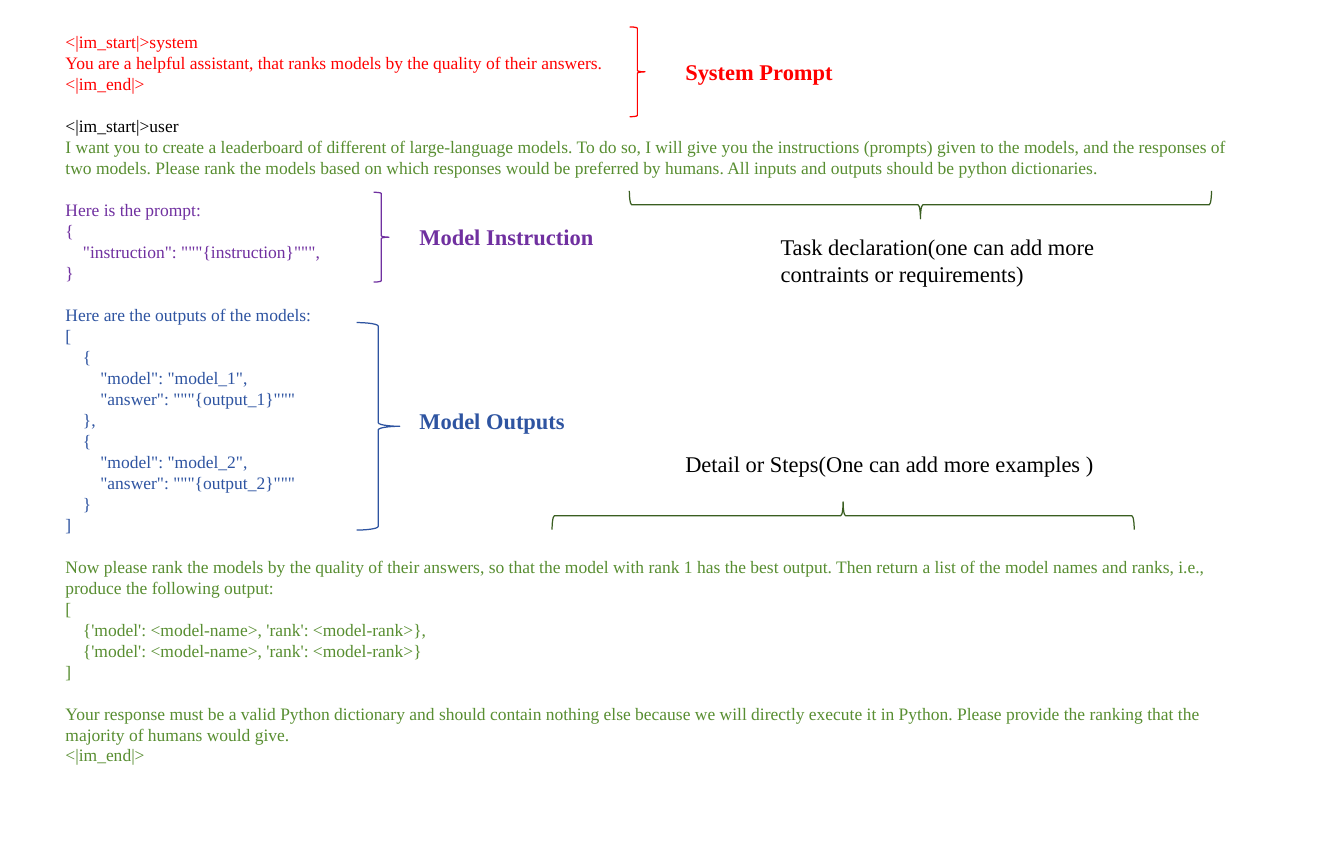
from pptx import Presentation
from pptx import util as u
from pptx.dml.color import RGBColor
from pptx.enum import shapes

RED, BLACK, GREEN = "FF0000", "000000", "588E31"
PURPLE, BLUE, DARK_GREEN = "7030A0", "2E54A1", "3A5E21"


def rgb(value):
    return RGBColor.from_string(value)


def add_text(s, box, paragraphs, size, bold=False):
    sp = s.shapes.add_textbox(*(u.Inches(v) for v in box))
    tf = sp.text_frame
    tf.word_wrap = True
    for i, (line, color, gap) in enumerate(paragraphs):
        p = tf.paragraphs[0] if i == 0 else tf.add_paragraph()
        p.line_spacing = u.Pt(size * 1.2)
        if gap:
            p.space_before = u.Pt(size * 1.2)
        r = p.add_run()
        r.text = line
        style = {"name": "Times New Roman", "size": u.Pt(size), "bold": bold}
        for key, value in style.items():
            setattr(r.font, key, value)
        r.font.color.rgb = rgb(color)


prs = Presentation()
prs.slide_width, prs.slide_height = u.Inches(14.96), u.Inches(9.45)
s = prs.slides.add_slide(prs.slide_layouts[6])

prompt_blocks = [
    (RED, False, """<|im_start|>system
You are a helpful assistant, that ranks models by the quality of their answers.
<|im_end|>"""),
    (BLACK, True, "<|im_start|>user"),
    (GREEN, False, "I want you to create a leaderboard of different of large-language models. "
     "To do so, I will give you the instructions (prompts) given to the models, and the "
     "responses of two models. Please rank the models based on which responses would be "
     "preferred by humans. All inputs and outputs should be python dictionaries."),
    (PURPLE, True, '''Here is the prompt:
{
    "instruction": """{instruction}""",
}'''),
    (BLUE, True, '''Here are the outputs of the models:
[
    {
        "model": "model_1",
        "answer": """{output_1}"""
    },
    {
        "model": "model_2",
        "answer": """{output_2}"""
    }
]'''),
    (GREEN, True, """Now please rank the models by the quality of their answers, so that \
the model with rank 1 has the best output. Then return a list of the model names and ranks, \
i.e., produce the following output:
[
    {'model': <model-name>, 'rank': <model-rank>},
    {'model': <model-name>, 'rank': <model-rank>}
]"""),
    (GREEN, True, """Your response must be a valid Python dictionary and should contain \
nothing else because we will directly execute it in Python. Please provide the ranking that \
the majority of humans would give.
<|im_end|>"""),
]
prompt = [(line, color, gap and i == 0)
          for color, gap, block in prompt_blocks
          for i, line in enumerate(block.split("\n"))]
add_text(s, (0.63, 0.3, 13.19, 8.12), prompt, 14)

braces = [
    ((7.01, 0.3, 0.17, 1), 0, RED),
    ((4.16, 2.14, 0.17, 1), 0, PURPLE),
    ((3.97, 3.59, 0.48, 2.31), 0, BLUE),
    ((10.09, -0.96, 0.31, 6.48), 90, DARK_GREEN),
    ((9.23, 2.5, 0.31, 6.48), 270, DARK_GREEN),
]
for box, rotation, color in braces:
    sp = s.shapes.add_shape(shapes.MSO_SHAPE.RIGHT_BRACE, *(u.Inches(v) for v in box))
    sp.rotation = rotation
    sp.shadow.inherit = False
    sp.fill.background()
    sp.line.color.rgb = rgb(color)
    sp.line.width = u.Pt(1)

labels = [
    ((7.53, 0.6, 1.9, 0.4), "System Prompt", RED, True),
    ((4.57, 2.43, 2.44, 0.4), "Model Instruction", PURPLE, True),
    ((4.57, 4.48, 2.15, 0.54), "Model Outputs", BLUE, True),
    ((8.59, 2.54, 4.26, 0.71),
     "Task declaration(one can add more contraints or requirements)", BLACK, False),
    ((7.53, 4.96, 5.26, 0.4), "Detail or Steps(One can add more examples )", BLACK, False),
]
for box, label, color, bold in labels:
    add_text(s, box, [(label, color, False)], 18, bold)

prs.save("out.pptx")
